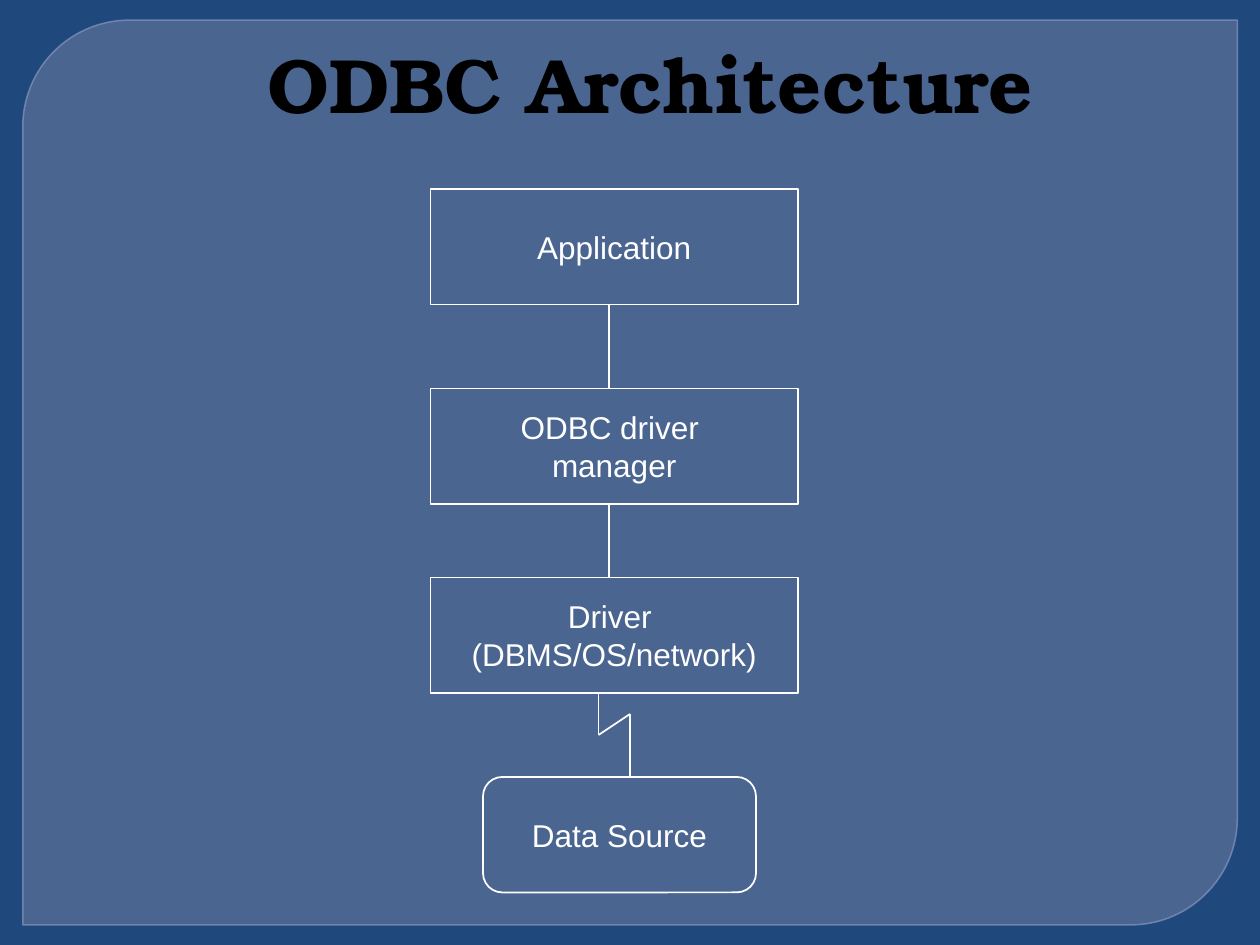
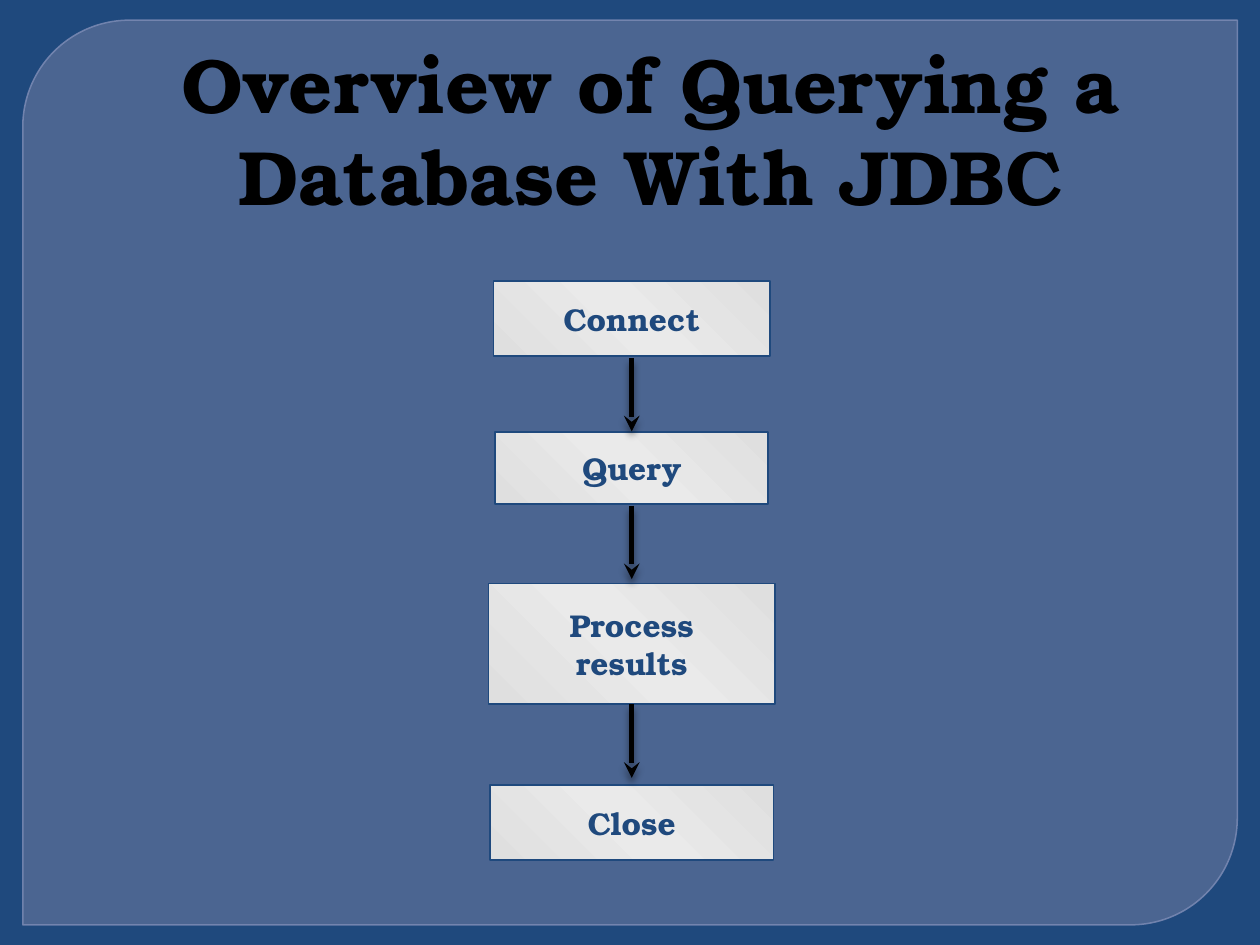
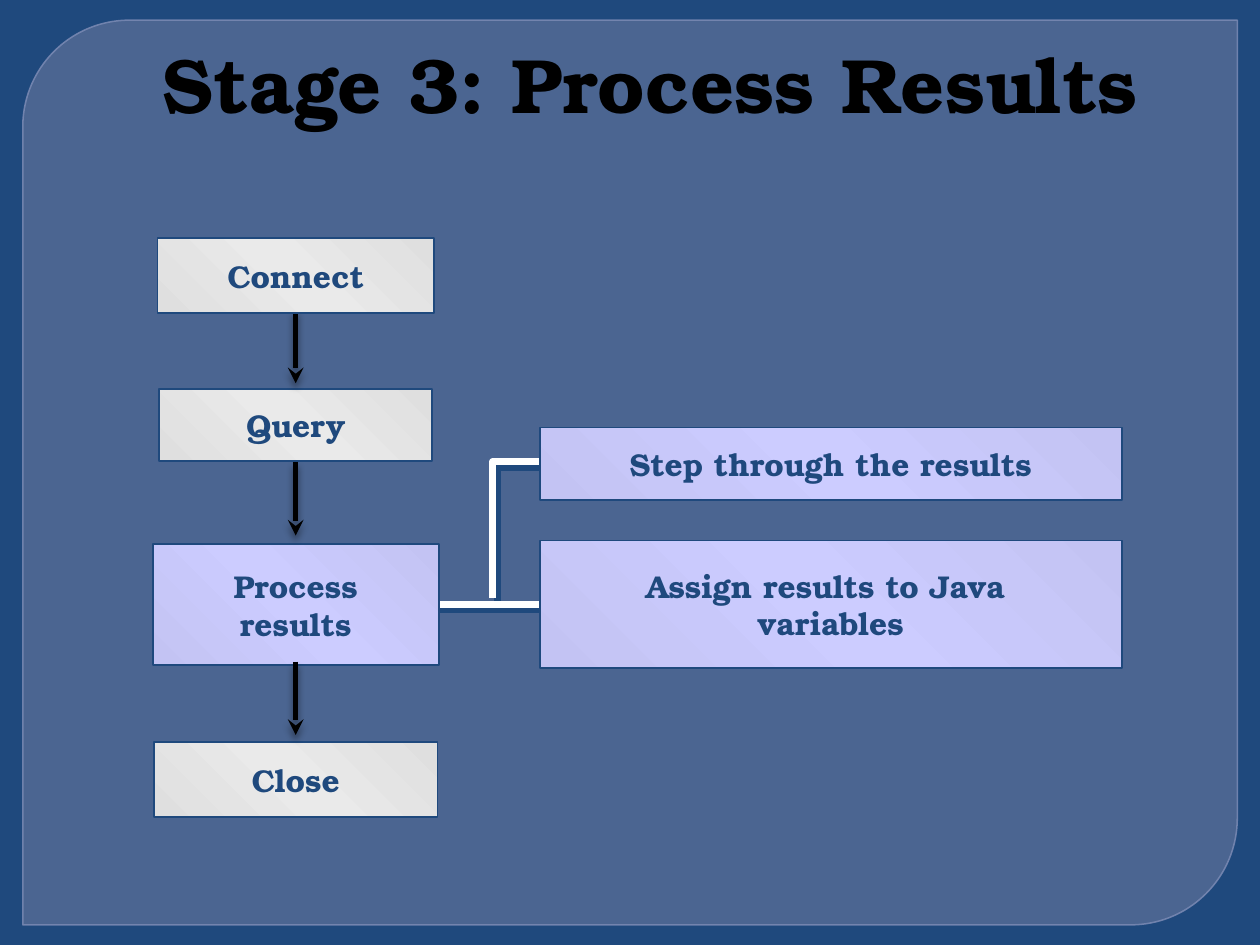
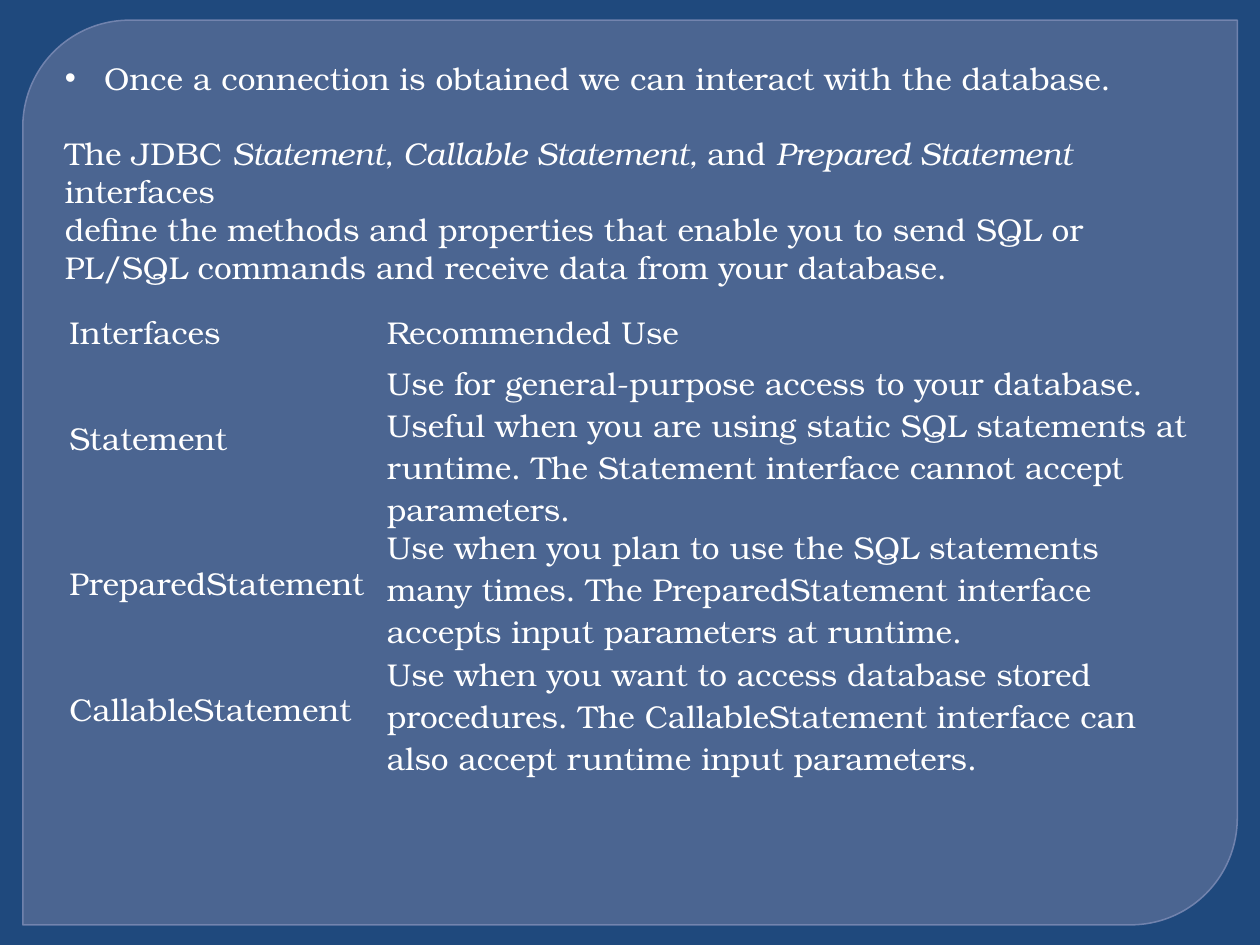
"""Build four slides on ODBC and JDBC database access."""
from copy import deepcopy

from lxml.etree import SubElement
from pptx import Presentation
from pptx.dml.color import RGBColor
from pptx.enum.shapes import MSO_CONNECTOR, MSO_SHAPE
from pptx.enum.text import MSO_ANCHOR, MSO_AUTO_SIZE, PP_ALIGN
from pptx.oxml.ns import qn
from pptx.util import Pt

NAVY = RGBColor(0x1F, 0x49, 0x7D)
SLATE = RGBColor(0x63, 0x75, 0x9D)
EDGE = RGBColor(0x79, 0x89, 0xB3)
WHITE = RGBColor(0xFF, 0xFF, 0xFF)
BLACK = RGBColor(0, 0, 0)
GREY = (RGBColor(0xDF, 0xDF, 0xDF), RGBColor(0xEA, 0xEA, 0xEA))
LILAC = (RGBColor(0xC3, 0xC3, 0xF3), RGBColor(0xCC, 0xCC, 0xFF))
SERIF = "TeX Gyre Bonum"
SANS = "Arial"
SOFT = (BLACK, 43, 4, 3, 90)
HARD = (NAVY, 100, 0, 4.2, 45)
NO_STYLE = "{2D5ABB26-0587-4C30-8999-92F81FD0307C}"
STAGES = (("Connect", 158, 43), ("Query", 156, 41),
          ("Process\nresults", 163.5, 69), ("Close", 162, 43))


class Slides:
    def __init__(self):
        self.deck = Presentation()
        self.deck.slide_width, self.deck.slide_height = Pt(720), Pt(540)

    def new_page(self, title=None, title_height=60.5):
        self.page = self.deck.slides.add_slide(self.deck.slide_layouts[6])
        backdrop = self.page.background.fill
        backdrop.solid()
        backdrop.fore_color.rgb = NAVY
        panel = self.shape(MSO_SHAPE.ROUND_2_DIAG_RECTANGLE, 13, 11.5, 694, 517, EDGE, 0.87)
        panel.adjustments[0], panel.adjustments[1] = 0.118, 0
        panel.fill.solid()
        panel.fill.fore_color.rgb = SLATE
        for color, percent in zip(panel.element.spPr.iter(qn("a:srgbClr")), (65, 88)):
            SubElement(color, qn("a:alpha"), val=str(percent * 1000))
        if title:
            frame = self.text_box(23.76, 17.28, 696.24, title_height)
            para = frame.paragraphs[0]
            para.alignment = PP_ALIGN.CENTER
            self.span(para, title, BLACK, size=44, bold=True)

    def shape(self, kind, left, top, width, height, line, weight=1):
        box = self.page.shapes.add_shape(kind, Pt(left), Pt(top), Pt(width), Pt(height))
        box.shadow.inherit = False
        box.fill.background()
        box.line.color.rgb = line
        box.line.width = Pt(weight)
        return box

    def span(self, para, text, color=WHITE, font=SERIF, size=18, bold=False, italic=False):
        span = para.add_run()
        span.text = text
        span.font.name, span.font.size = font, Pt(size)
        span.font.bold, span.font.italic = bold, italic
        span.font.color.rgb = color

    def label(self, box, paragraphs, **style):
        frame = box.text_frame
        frame.word_wrap = False
        frame.vertical_anchor = MSO_ANCHOR.MIDDLE
        for index, text in enumerate(paragraphs):
            para = frame.add_paragraph() if index else frame.paragraphs[0]
            para.alignment = PP_ALIGN.CENTER
            for row, part in enumerate(text.split("\n")):
                if row:
                    para.add_line_break()
                self.span(para, part, **style)

    def outline_box(self, left, top, width, *paragraphs, kind=MSO_SHAPE.RECTANGLE):
        box = self.shape(kind, left, top, width, 66, WHITE)
        self.label(box, paragraphs, font=SANS)

    def gradient_box(self, left, top, width, height, text, shades=GREY):
        box = self.shape(MSO_SHAPE.RECTANGLE, left, top, width, height, NAVY)
        box.fill.gradient()
        box.fill.gradient_angle = 45
        stops = box.element.spPr.find(".//" + qn("a:gsLst"))
        stops.insert(1, deepcopy(stops[0]))
        outer, middle = shades
        for stop, place, color in zip(box.fill.gradient_stops, (0, 0.5, 1),
                                      (outer, middle, outer)):
            stop.position = place
            stop.color.rgb = color
        self.label(box, [text], color=NAVY, bold=True)

    def effects(self, shape, shadow):
        properties = shape.element.spPr
        for old in properties.findall(qn("a:effectLst")):
            properties.remove(old)
        effects = SubElement(properties, qn("a:effectLst"))
        if shadow:
            color, opacity, blur, distance, angle = shadow
            outer = SubElement(effects, qn("a:outerShdw"), blurRad=str(Pt(blur)),
                               dist=str(Pt(distance)), dir=str(angle * 60000),
                               algn="ctr", rotWithShape="0")
            tint = SubElement(outer, qn("a:srgbClr"), val=str(color))
            SubElement(tint, qn("a:alpha"), val=str(opacity * 1000))

    def line(self, x1, y1, x2, y2, color=WHITE, weight=1, arrow=False, shadow=None):
        line = self.page.shapes.add_connector(
            MSO_CONNECTOR.STRAIGHT, Pt(x1), Pt(y1), Pt(x2), Pt(y2))
        line.line.color.rgb = color
        line.line.width = Pt(weight)
        if arrow:
            SubElement(line.element.spPr.find(qn("a:ln")), qn("a:tailEnd"), type="stealth")
        self.effects(line, shadow)

    def elbow(self, start, *corners):
        builder = self.page.shapes.build_freeform(*map(Pt, start))
        builder.add_line_segments([tuple(map(Pt, corner)) for corner in corners], close=False)
        bracket = builder.convert_to_shape()
        bracket.fill.background()
        bracket.line.color.rgb = WHITE
        bracket.line.width = Pt(4)
        self.effects(bracket, HARD)

    def flow(self, center, tops, arrow_tops, active=None):
        boxes = list(zip(STAGES, tops))
        for (text, width, height), top in boxes[1:]:
            shades = LILAC if text == active else GREY
            self.gradient_box(center - width / 2, top, width, height, text, shades)
        for top in arrow_tops:
            self.line(center, top, center, top + 42, BLACK, 3, True, SOFT)
        (text, width, height), top = boxes[0]
        self.gradient_box(center - width / 2, top, width, height, text)

    def text_box(self, left, top, width, height):
        frame = self.page.shapes.add_textbox(
            Pt(left), Pt(top), Pt(width), Pt(height)).text_frame
        frame.word_wrap = True
        frame.auto_size = MSO_AUTO_SIZE.SHAPE_TO_FIT_TEXT
        return frame

    def bullet(self, para):
        properties = para._p.get_or_add_pPr()
        properties.set("marL", str(Pt(22.5)))
        properties.set("indent", str(Pt(-22.5)))
        SubElement(properties, qn("a:buFont"), typeface=SANS)
        SubElement(properties, qn("a:buChar"), char="•")

    def table(self, left, top, widths, heights, rows):
        holder = self.page.shapes.add_table(len(rows), len(widths), Pt(left), Pt(top),
                                            Pt(sum(widths)), Pt(sum(heights)))
        grid = holder.table
        grid.first_row = grid.horz_banding = False
        holder.element.find(".//" + qn("a:tableStyleId")).text = NO_STYLE
        for column, width in zip(grid.columns, widths):
            column.width = Pt(width)
        for row, height, texts in zip(grid.rows, heights, rows):
            row.height = Pt(height)
            for cell, text in zip(row.cells, texts):
                cell.fill.background()
                cell.vertical_anchor = MSO_ANCHOR.MIDDLE
                cell.margin_left = cell.margin_right = Pt(3.6)
                cell.margin_top = cell.margin_bottom = Pt(3.6)
                self.span(cell.text_frame.paragraphs[0], text)


def odbc_architecture(slides):
    slides.new_page("ODBC Architecture")
    slides.outline_box(246, 108, 210, "Application")
    slides.outline_box(246, 222, 210, "ODBC driver ", "manager")
    slides.outline_box(246, 330, 210, "Driver ", "(DBMS/OS/network)")
    slides.outline_box(276, 444, 156, "Data Source", kind=MSO_SHAPE.ROUNDED_RECTANGLE)
    slides.line(348, 174, 348, 222)
    slides.line(348, 288, 348, 330)
    bolt = ((342, 396), (342, 420), (360, 408), (360, 444))
    for start, end in zip(bolt, bolt[1:]):
        slides.line(*start, *end)


def querying_overview(slides):
    slides.new_page("Overview of Querying a Database With JDBC", 113.8)
    slides.flow(361, (160.5, 247, 333.5, 448.5), (204.5, 289, 402.5))


def process_results(slides):
    slides.new_page("Stage 3: Process Results")
    slides.elbow((281.5, 342), (281.5, 264), (324, 264))
    slides.line(237.6, 345.6, 329.8, 345.6, WHITE, 4, shadow=HARD)
    slides.gradient_box(308.5, 244.3, 332.5, 41.5, "Step through the results", LILAC)
    slides.gradient_box(308.5, 308.8, 332.5, 73, "Assign results to Java \nvariables", LILAC)
    slides.flow(169, (136, 222.5, 311, 424), (177, 264, 378), "Process\nresults")


def statement_interfaces(slides):
    slides.new_page()
    frame = slides.text_box(30, 30, 654, 116.6)
    first = frame.paragraphs[0]
    slides.bullet(first)
    slides.span(first, "Once a connection is obtained we can interact with the database.")
    second = frame.add_paragraph()
    second.space_before = Pt(21.6)
    for text, italic in (("The JDBC ", False),
                         ("Statement, Callable Statement, ", True),
                         ("and ", False),
                         ("Prepared Statement ", True),
                         ("interfaces ", False)):
        slides.span(second, text, italic=italic)
    slides.span(frame.add_paragraph(),
                "define the methods and properties that enable you to send SQL or "
                "PL/SQL commands and receive data from your database.")
    slides.table(36, 174.2, (181.5, 466.5), (29, 94, 72, 72), (
        ("Interfaces", "Recommended Use"),
        ("Statement",
         "Use for general-purpose access to your database. Useful when you are using "
         "static SQL statements at runtime. The Statement interface cannot accept "
         "parameters."),
        ("PreparedStatement",
         "Use when you plan to use the SQL statements many times. The PreparedStatement "
         "interface accepts input parameters at runtime."),
        ("CallableStatement",
         "Use when you want to access database stored procedures. The CallableStatement "
         "interface can also accept runtime input parameters."),
    ))


def main():
    slides = Slides()
    for build in (odbc_architecture, querying_overview, process_results, statement_interfaces):
        build(slides)
    slides.deck.save("out.pptx")


main()
